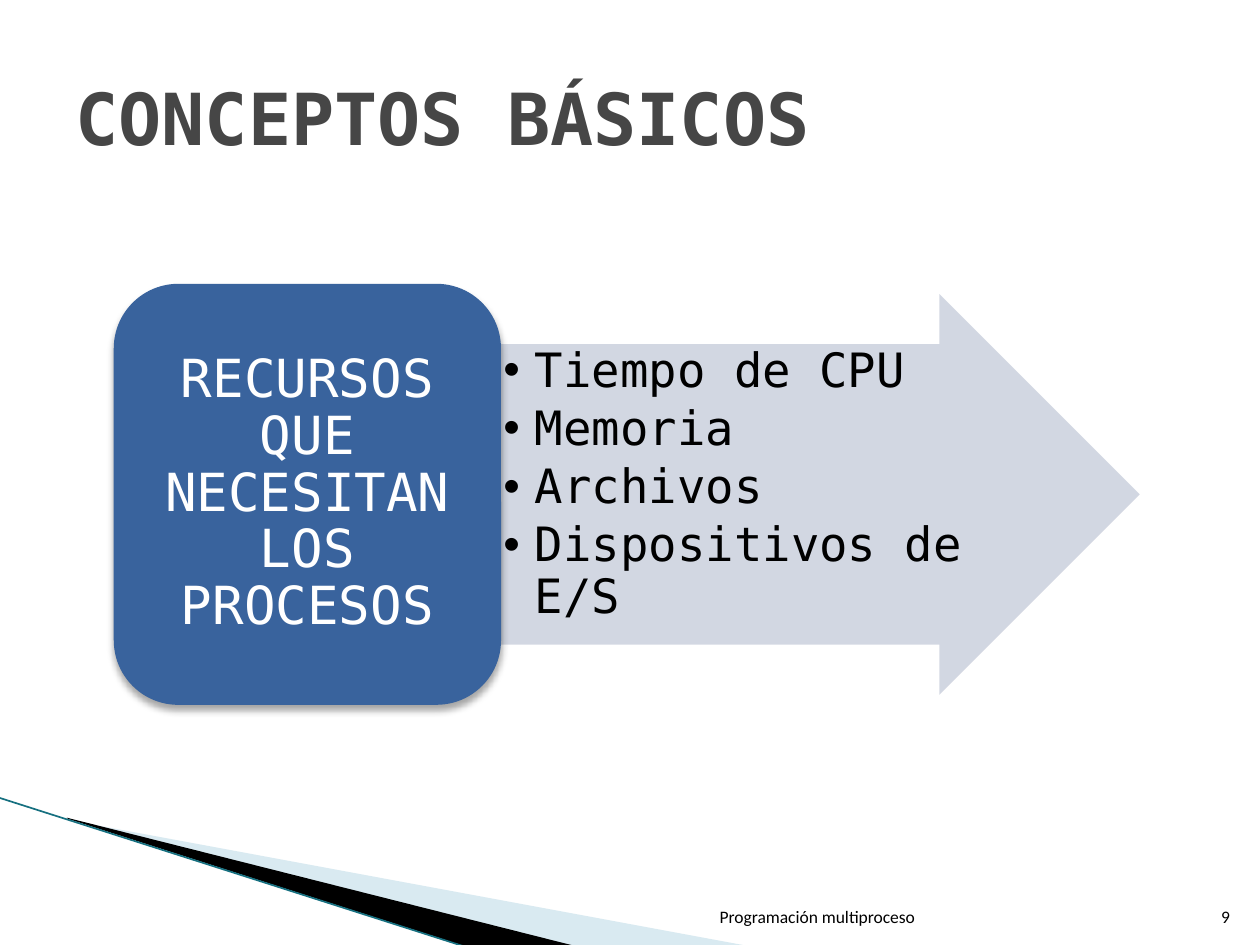
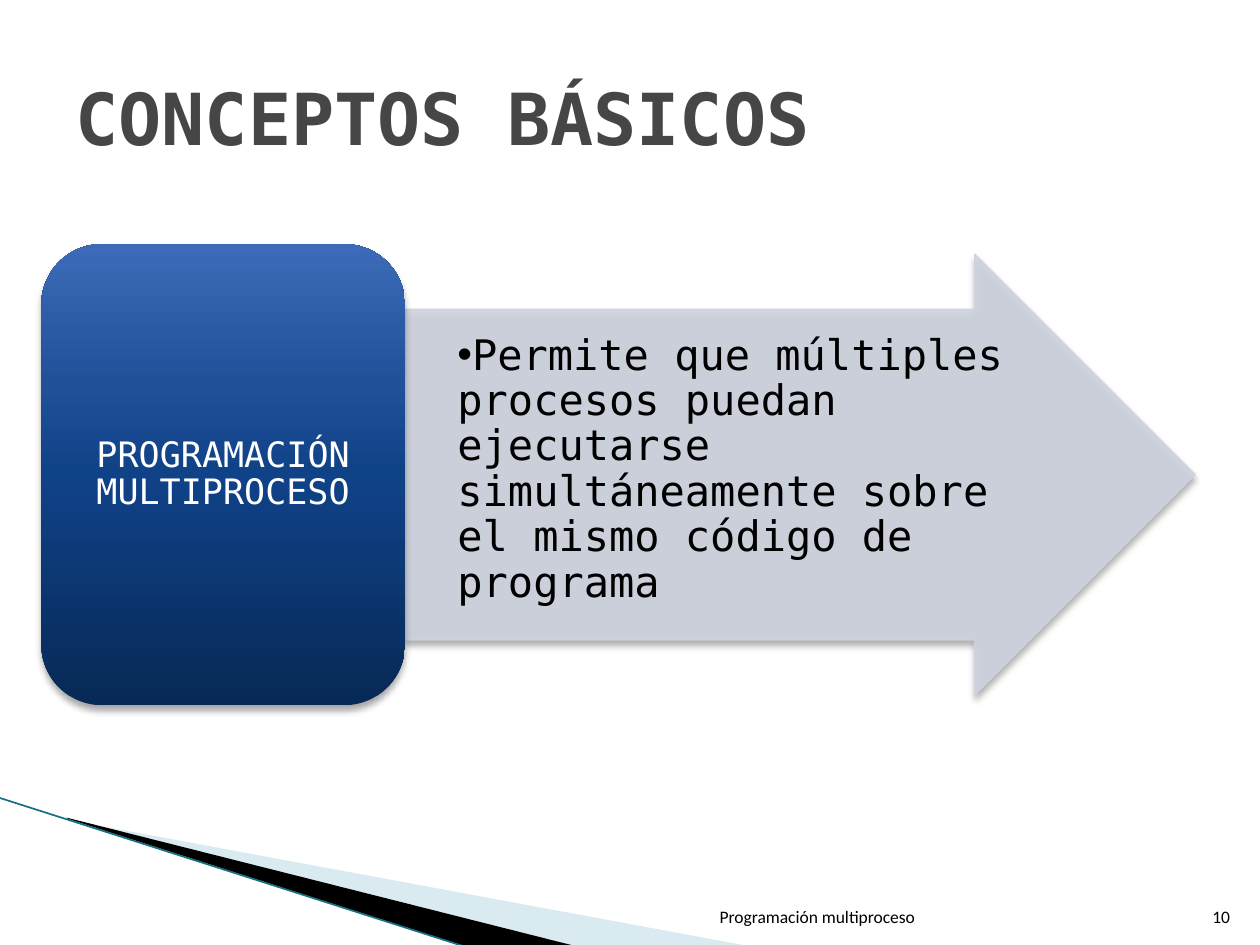
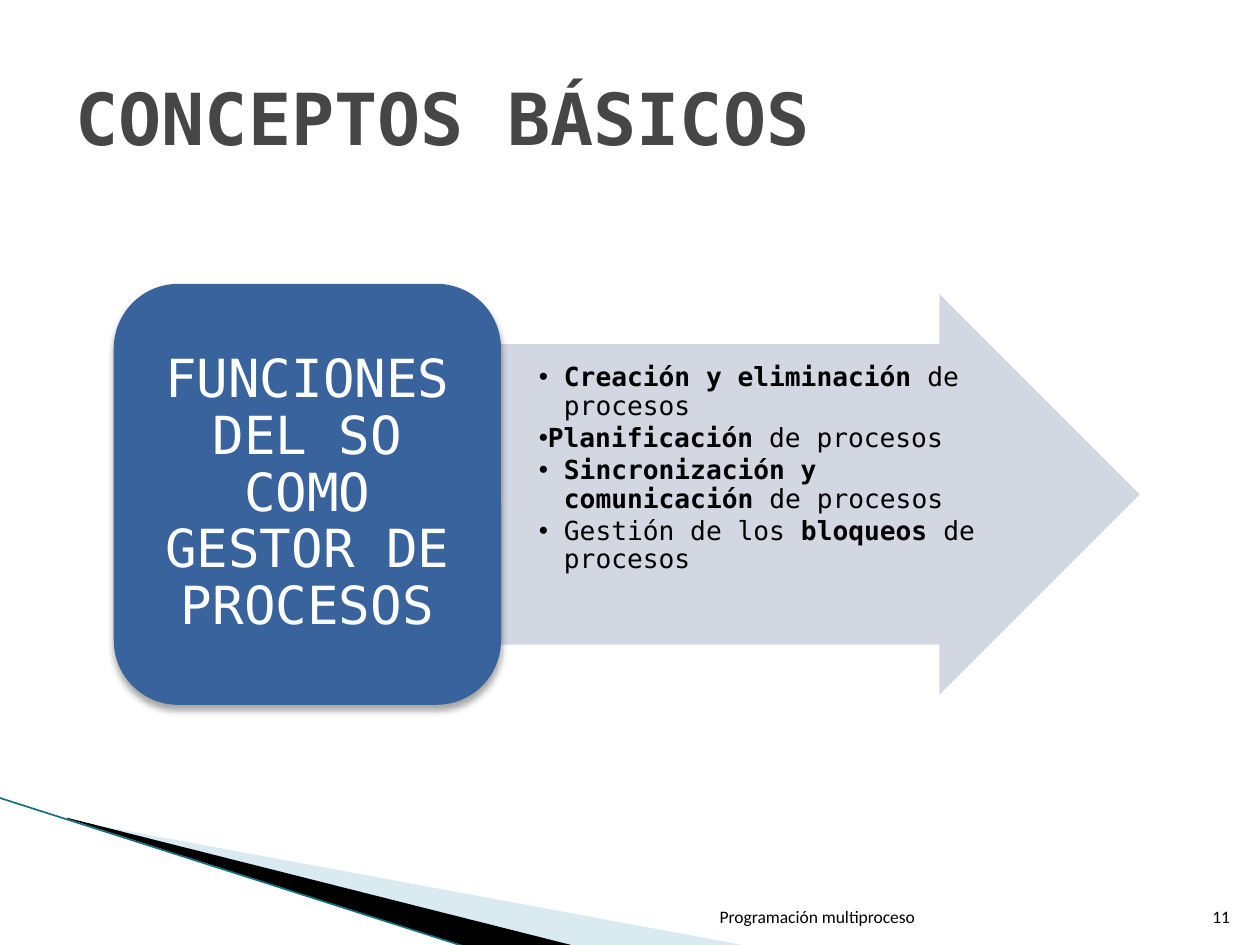
from lxml import etree
from pptx import Presentation
from pptx.dml.color import RGBColor
from pptx.enum.shapes import MSO_CONNECTOR, MSO_SHAPE
from pptx.enum.text import MSO_ANCHOR, PP_ALIGN
from pptx.oxml.ns import qn
from pptx.util import Pt

ROUNDED, ARROW = MSO_SHAPE.ROUNDED_RECTANGLE, MSO_SHAPE.RIGHT_ARROW
STRAIGHT = MSO_CONNECTOR.STRAIGHT
TOP, MIDDLE, BOTTOM = MSO_ANCHOR.TOP, MSO_ANCHOR.MIDDLE, MSO_ANCHOR.BOTTOM
LEFT, CENTER, RIGHT = PP_ALIGN.LEFT, PP_ALIGN.CENTER, PP_ALIGN.RIGHT

BLACK = RGBColor(0x00, 0x00, 0x00)
WHITE = RGBColor(0xFF, 0xFF, 0xFF)
TITLE_GREY = RGBColor(0x46, 0x46, 0x46)
PALE_BAND = RGBColor(0xA0, 0xCB, 0xDC)
EDGE_TEAL = RGBColor(0x16, 0x70, 0x80)
ARROW_GREY = RGBColor(0xCE, 0xD3, 0xDF)
TOPIC_BLUE = RGBColor(0x39, 0x63, 0x9D)
TOPIC_GRADIENT = [
    (0, RGBColor(0x07, 0x29, 0x56)),
    (50, RGBColor(0x10, 0x42, 0x88)),
    (70, RGBColor(0x20, 0x51, 0x99)),
    (100, RGBColor(0x3D, 0x6B, 0xB9)),
]

MONO, SANS = "DejaVu Sans Mono", "Calibri"
TITLE = "CONCEPTOS BÁSICOS"
FOOTER = "Programación multiproceso"

# left, top, width, height in points
TOPIC_AREA = (65, 162.2, 221.3, 240.6)
ARROW_AREA = (286.3, 168, 365, 229)
WIDE_TOPIC_AREA = (23.6, 139.5, 207.8, 263.5)
WIDE_ARROW_AREA = (231.2, 145.2, 451.8, 252)


def points(values):
    return [Pt(value) for value in values]


def add_child(parent, tag, **attributes):
    child = etree.SubElement(parent, qn(tag))
    for name, value in attributes.items():
        child.set(name, str(value))
    return child


def set_opacity(shape, percent):
    """Apply one opacity to every colour of the fill and line."""
    for colour in shape._element.spPr.iter(qn("a:srgbClr")):
        add_child(colour, "a:alpha", val=percent * 1000)


def add_shadow(shape):
    """Cast a soft shadow straight down."""
    effects = shape._element.spPr.find(qn("a:effectLst"))
    shadow = add_child(effects, "a:outerShdw", blurRad=Pt(4), dist=Pt(3),
                       dir=90 * 60000, algn="ctr", rotWithShape=0)
    colour = add_child(shadow, "a:srgbClr", val=BLACK)
    add_child(colour, "a:alpha", val=35000)


def fill_gradient(shape, stops):
    """Run the stops from the bottom of the shape to its top."""
    shape.fill.gradient()
    shape.fill.gradient_angle = 90
    stop_list = shape._element.spPr.find(".//" + qn("a:gsLst"))
    for stop in list(stop_list):
        stop_list.remove(stop)
    for percent, colour in stops:
        stop = add_child(stop_list, "a:gs", pos=percent * 1000)
        add_child(stop, "a:srgbClr", val=colour)


def prepare_frame(frame, anchor, insets):
    frame.word_wrap = True
    frame.vertical_anchor = anchor
    (frame.margin_left, frame.margin_top,
     frame.margin_right, frame.margin_bottom) = points(insets)


def set_font(paragraph, face, size, colour, bold=None):
    font = paragraph.font
    font.name, font.size, font.bold = face, Pt(size), bold
    font.color.rgb = colour


def add_label(slide, area, text, face, size, colour, align, anchor, bold=None):
    frame = slide.shapes.add_textbox(*points(area)).text_frame
    prepare_frame(frame, anchor, (7.2, 3.6, 7.2, 3.6))
    line = frame.paragraphs[0]
    line.text, line.alignment = text, align
    set_font(line, face, size, colour, bold)


def add_band(slide, corners, colour):
    start, *others = [points(corner) for corner in corners]
    outline = slide.shapes.build_freeform(*start)
    outline.add_line_segments(others)
    band = outline.convert_to_shape()
    band.shadow.inherit = False
    band.fill.solid()
    band.fill.fore_color.rgb = colour
    band.line.fill.background()
    return band


def add_base(prs, number):
    """Start a slide with the corner bands, title and footer."""
    slide = prs.slides.add_slide(prs.slide_layouts[6])
    pale = add_band(slide, [(39.6, 468.7), (428.4, 540.7), (328.3, 540.7),
                            (39.6, 468)], PALE_BAND)
    set_opacity(pale, 40)
    add_band(slide, [(38.2, 467.3), (329, 540.7), (267.8, 541.4),
                     (38.9, 468)], BLACK)
    edge = slide.shapes.add_connector(
        STRAIGHT, *points((-0.7, 455.8, 267.1, 541.4)))
    edge.line.color.rgb = EDGE_TEAL
    edge.line.width = Pt(0.95)
    add_child(edge._element.spPr, "a:effectLst")

    add_label(slide, (36, 21.6, 648, 90), TITLE, MONO, 41, TITLE_GREY,
              LEFT, MIDDLE, bold=True)
    for area, text in (((344.9, 504.7, 185, 28.8), FOOTER),
                       ((681.1, 504.7, 28.8, 28.8), str(number))):
        add_label(slide, area, text, SANS, 10, BLACK, RIGHT, BOTTOM)
    return slide


def add_bullet(paragraph, left, hanging):
    properties = paragraph._p.get_or_add_pPr()
    properties.set("marL", str(Pt(left)))
    properties.set("indent", str(Pt(-hanging)))
    add_child(properties, "a:buFont", typeface="Arial")
    add_child(properties, "a:buChar", char="•")


def add_arrow(slide, area, items, size, insets, raised=False):
    """Draw the arrow; items are (left indent, hanging, [(text, bold), ...])."""
    arrow = slide.shapes.add_shape(ARROW, *points(area))
    arrow.adjustments[0], arrow.adjustments[1] = 0.75, 0.5
    arrow.shadow.inherit = False
    arrow.fill.solid()
    arrow.fill.fore_color.rgb = ARROW_GREY
    if raised:
        arrow.line.color.rgb = ARROW_GREY
        arrow.line.width = Pt(0.75)
    else:
        arrow.line.fill.background()
    set_opacity(arrow, 90)
    if raised:
        add_shadow(arrow)

    prepare_frame(arrow.text_frame, TOP, insets)
    for index, (indent, hanging, parts) in enumerate(items):
        frame = arrow.text_frame
        item = frame.add_paragraph() if index else frame.paragraphs[0]
        item.alignment = LEFT
        item.line_spacing = 0.9
        item.space_after = Pt(size * 0.15)
        add_bullet(item, indent, hanging)
        set_font(item, MONO, size, BLACK)
        for text, bold in parts:
            run = item.add_run()
            run.text, run.font.bold = text, bold


def add_topic(slide, area, text, size, insets, gradient=None):
    topic = slide.shapes.add_shape(ROUNDED, *points(area))
    topic.shadow.inherit = False
    if gradient:
        fill_gradient(topic, gradient)
    else:
        topic.fill.solid()
        topic.fill.fore_color.rgb = TOPIC_BLUE
    topic.line.fill.background()
    add_shadow(topic)
    prepare_frame(topic.text_frame, MIDDLE, insets)
    line = topic.text_frame.paragraphs[0]
    line.text, line.alignment, line.line_spacing = text, CENTER, 0.9
    set_font(line, MONO, size, WHITE)


def add_resources(prs):
    slide = add_base(prs, 9)
    resources = ["Tiempo de CPU", "Memoria", "Archivos", "Dispositivos de E/S"]
    add_arrow(slide, ARROW_AREA,
              [(18, 18, [(name, False)]) for name in resources],
              27, (1.4, 1.4, 1.4, 1.4))
    add_topic(slide, TOPIC_AREA, "RECURSOS QUE NECESITAN LOS PROCESOS",
              30, (8.6, 4.3, 8.6, 4.3))


def add_multiprocessing(prs):
    slide = add_base(prs, 10)
    definition = ("Permite que múltiples procesos puedan ejecutarse "
                  "simultáneamente sobre el mismo código de programa")
    add_arrow(slide, WIDE_ARROW_AREA, [(28.8, 0, [(definition, False)])],
              24, (1.4, 14.2, 1.4, 1.4), raised=True)
    add_topic(slide, WIDE_TOPIC_AREA, "PROGRAMACIÓN MULTIPROCESO",
              20, (5.8, 2.9, 5.8, 2.9), TOPIC_GRADIENT)


def add_functions(prs):
    slide = add_base(prs, 11)
    functions = [
        (35.3, 14.4, [("Creación y eliminación ", True),
                      ("de procesos", False)]),
        (20.9, 0, [("Planificación", True), (" de procesos", False)]),
        (35.3, 14.4, [("Sincronización y comunicación ", True),
                      ("de procesos", False)]),
        (35.3, 14.4, [("Gestión de los", False), (" bloqueos ", True),
                      ("de procesos", False)]),
    ]
    add_arrow(slide, ARROW_AREA, functions, 15, (0.7, 11.4, 0.7, 0.7))
    add_topic(slide, TOPIC_AREA, "FUNCIONES DEL SO COMO GESTOR DE PROCESOS",
              30, (8.6, 4.3, 8.6, 4.3))


def main():
    prs = Presentation()
    prs.slide_width, prs.slide_height = Pt(720), Pt(540)
    add_resources(prs)
    add_multiprocessing(prs)
    add_functions(prs)
    prs.save("out.pptx")


if __name__ == "__main__":
    main()
